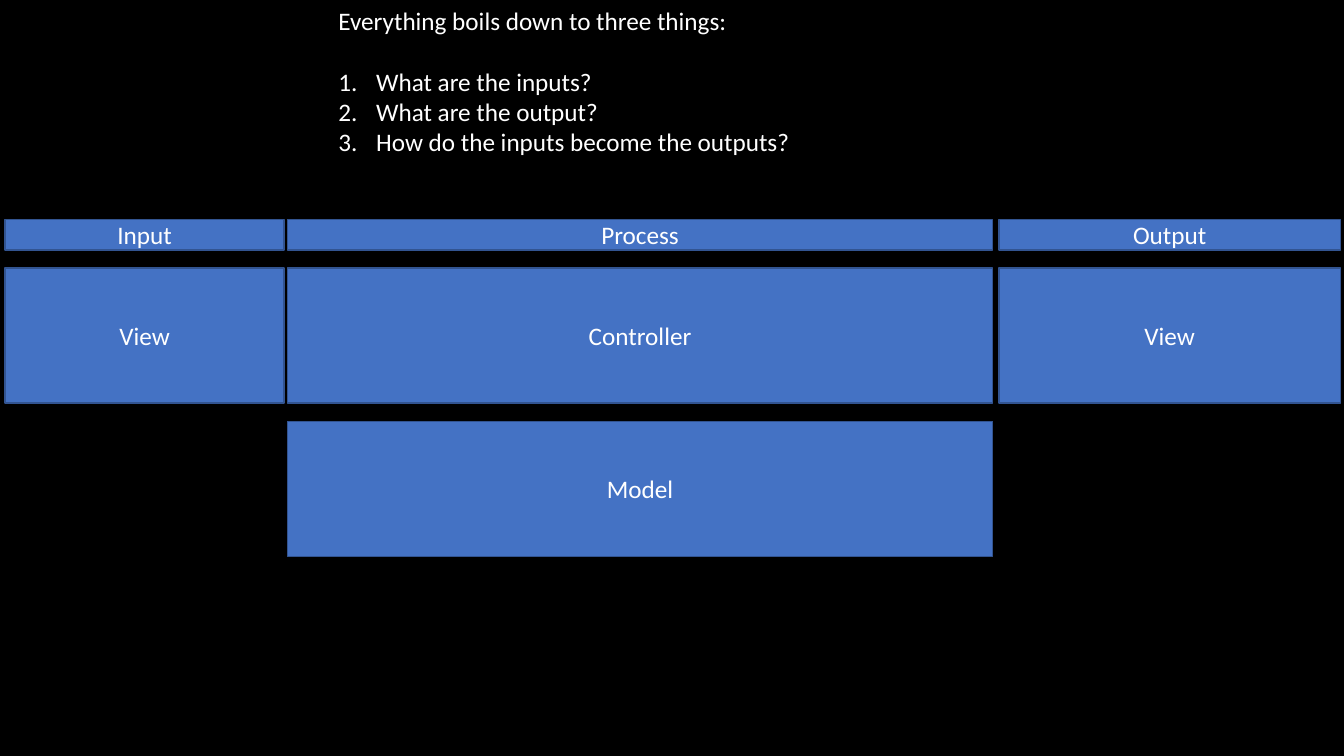
from dataclasses import dataclass

from lxml import etree
from pptx import Presentation
from pptx import util as u
from pptx.dml.color import RGBColor
from pptx.enum import shapes, text
from pptx.oxml import ns


@dataclass(frozen=True)
class Theme:
    background: RGBColor = RGBColor(0x00, 0x00, 0x00)
    block: RGBColor = RGBColor(0x44, 0x72, 0xC4)
    border: RGBColor = RGBColor(0x32, 0x54, 0x91)
    ink: RGBColor = RGBColor(0xFF, 0xFF, 0xFF)
    font: str = "Calibri"
    size: float = 18
    border_width: float = 1
    indent: float = 27
    intro_gap: float = 22


class SlideBuilder:
    def __init__(self, slide, theme):
        self.slide = slide
        self.theme = theme
        slide.background.fill.solid()
        slide.background.fill.fore_color.rgb = theme.background

    def add_wording(self, paragraph, wording, **paragraph_format):
        run = paragraph.add_run()
        run.text = wording
        font_format = {"name": self.theme.font, "size": u.Pt(self.theme.size)}
        for target, values in ((run.font, font_format), (paragraph, paragraph_format)):
            for attribute, value in values.items():
                setattr(target, attribute, value)
        run.font.color.rgb = self.theme.ink

    def block(self, label, left, top, width, height):
        rect = self.slide.shapes.add_shape(
            shapes.MSO_SHAPE.RECTANGLE, *map(u.Pt, (left, top, width, height)))
        rect.shadow.inherit = False
        rect.fill.solid()
        rect.fill.fore_color.rgb = self.theme.block
        rect.line.color.rgb = self.theme.border
        rect.line.width = u.Pt(self.theme.border_width)
        rect.text_frame.vertical_anchor = text.MSO_ANCHOR.MIDDLE
        self.add_wording(rect.text_frame.paragraphs[0], label,
                         alignment=text.PP_ALIGN.CENTER)

    def numbered_list(self, intro, items, left, top, width, height):
        frame = self.slide.shapes.add_textbox(
            *map(u.Pt, (left, top, width, height))).text_frame
        frame.word_wrap = True
        frame.auto_size = text.MSO_AUTO_SIZE.SHAPE_TO_FIT_TEXT
        self.add_wording(frame.paragraphs[0], intro,
                         space_after=u.Pt(self.theme.intro_gap))
        for item in items:
            paragraph = frame.add_paragraph()
            self.add_wording(paragraph, item)
            properties = paragraph._p.get_or_add_pPr()
            indent = u.Pt(self.theme.indent)
            properties.set("marL", str(indent))
            properties.set("indent", str(-indent))
            etree.SubElement(properties, ns.qn("a:buFont"), typeface="+mj-lt")
            etree.SubElement(properties, ns.qn("a:buAutoNum"), type="arabicPeriod")


# Columns are (left, width); rows are (top, height)
INPUT, PROCESS, OUTPUT = (3.6, 199.4), (205.2, 504), (713.5, 244)
HEADER, UPPER, LOWER = (157, 21.6), (191.5, 96.5), (301, 96.5)

BLOCKS = [
    ("Process", PROCESS, HEADER),
    ("Input", INPUT, HEADER),
    ("Output", OUTPUT, HEADER),
    ("Controller", PROCESS, UPPER),
    ("View", INPUT, UPPER),
    ("View", OUTPUT, UPPER),
    ("Model", PROCESS, LOWER),
]
QUESTIONS = [
    "What are the inputs?",
    "What are the output?",
    "How do the inputs become the outputs?",
]


def main():
    deck = Presentation()
    deck.slide_width, deck.slide_height = u.Pt(960), u.Pt(540)
    builder = SlideBuilder(deck.slides.add_slide(deck.slide_layouts[6]), Theme())

    # Guiding questions
    builder.numbered_list("Everything boils down to three things:", QUESTIONS,
                          left=234.6, top=0, width=396.7, height=116.6)

    # Input, process and output mapped to model, view and controller
    for label, (left, width), (top, height) in BLOCKS:
        builder.block(label, left, top, width, height)

    deck.save("out.pptx")


if __name__ == "__main__":
    main()
